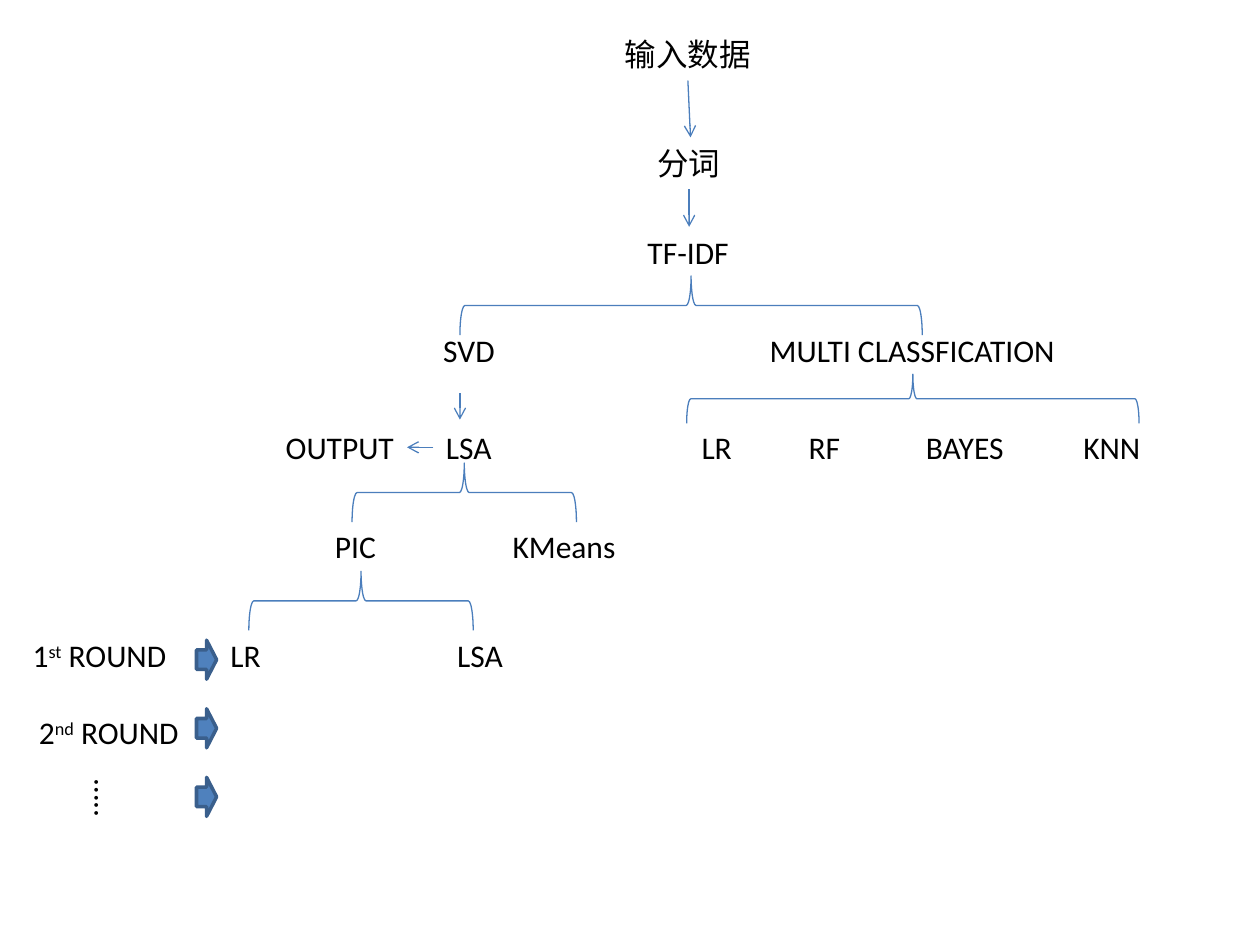
from typing import NamedTuple

import pptx
import pptx.dml.color
import pptx.enum.shapes
import pptx.enum.text
import pptx.oxml.ns
import pptx.oxml.xmlchemy
import pptx.util
from lxml import etree

Pt = pptx.util.Pt
MSO_SHAPE = pptx.enum.shapes.MSO_SHAPE
qn = pptx.oxml.ns.qn

COLORS = {"text": "000000", "line": "4B7EBC", "fill": "4F81BD", "edge": "3A5F8C"}
FONT = "Calibri"
LABEL_HEIGHT = 28.8
SUPERSCRIPT = "30000"

# Tops of the tree levels
INPUT, WORDS, TFIDF, METHODS, MODELS, CLUSTERS, ROUND_1, ROUND_2, MORE = (
    16.6, 78.5, 129.6, 185.8, 241.2, 297.4, 360, 403.9, 438.5)


class Label(NamedTuple):
    text: str
    left: float
    top: float
    width: float
    sup: str = ""
    rest: str = ""
    vertical: bool = False


class Brace(NamedTuple):
    center_x: float
    center_y: float
    span: float
    depth: float


class Arrow(NamedTuple):
    x1: float
    y1: float
    x2: float
    y2: float


LABELS = [
    Label("输入数据", 349.9, INPUT, 87.1),
    Label("分词", 368.6, WORDS, 51.1),
    Label("TF-IDF", 362.9, TFIDF, 61.2),
    Label("SVD", 246.2, METHODS, 44.6),
    Label("MULTI CLASSFICATION", 432.7, METHODS, 178.6),
    Label("OUTPUT", 156.2, MODELS, 77),
    Label("LSA", 247.7, MODELS, 41),
    Label("LR", 393.8, MODELS, 32.4),
    Label("RF", 455, MODELS, 32.4),
    Label("BAYES", 522, MODELS, 61.2),
    Label("KNN", 612, MODELS, 47.5),
    Label("PIC", 184.3, CLUSTERS, 38.2),
    Label("KMeans", 285.8, CLUSTERS, 78.5),
    Label("LR", 124.6, ROUND_1, 32.4),
    Label("LSA", 254.2, ROUND_1, 41),
    Label("1", 11.5, ROUND_1, 97.2, "st", " ROUND"),
    Label("2", 15.1, ROUND_2, 96.5, "nd", " ROUND"),
    Label("…..", 39.6, MORE, 36, vertical=True),
]

BRACES = [
    Brace(394.9, 174.6, 264.2, 33.8),
    Brace(521.6, 227.9, 258.5, 28.1),
    Brace(265.3, 281.5, 128.2, 33.8),
    Brace(206.3, 343.4, 128.2, 33.8),
]

ARROWS = [
    Arrow(393.1, 46.1, 394.6, 78.5),
    Arrow(393.8, 108, 393.8, 129.6),
    Arrow(262.8, 224.6, 262.8, 239.8),
    Arrow(247.7, 255.6, 232.6, 255.6),
]

ROUND_ARROW_TOP, ROUND_ARROW_STEP, ROUND_COUNT = 365.8, 39.2, 3


def rgb(name: str) -> pptx.dml.color.RGBColor:
    return pptx.dml.color.RGBColor.from_string(COLORS[name])


def style_line(line, color: str, width: float) -> None:
    line.color.rgb = rgb(color)
    line.width = Pt(width)


def add_run(p, text: str, baseline: str = "") -> None:
    r = p.add_run()
    r.text = text
    r.font.name = FONT
    r.font.size = Pt(18)
    r.font.color.rgb = rgb("text")
    if baseline:
        r.font._element.set("baseline", baseline)


def add_label(s, label: Label) -> None:
    sp = s.shapes.add_textbox(
        Pt(label.left), Pt(label.top), Pt(label.width), Pt(LABEL_HEIGHT))
    tf = sp.text_frame
    tf.word_wrap = False
    tf.auto_size = pptx.enum.text.MSO_AUTO_SIZE.SHAPE_TO_FIT_TEXT
    if label.vertical:
        tf._txBody.bodyPr.set("vert", "eaVert")
    p = tf.paragraphs[0]
    add_run(p, label.text)
    if label.sup:
        add_run(p, label.sup, SUPERSCRIPT)
        add_run(p, label.rest)


def add_brace(s, brace: Brace) -> None:
    """Draw a left brace turned so that its point faces up."""
    sp = s.shapes.add_shape(
        MSO_SHAPE.LEFT_BRACE,
        Pt(brace.center_x - brace.depth / 2), Pt(brace.center_y - brace.span / 2),
        Pt(brace.depth), Pt(brace.span))
    sp.rotation = 90
    sp.shadow.inherit = False
    sp.fill.background()
    style_line(sp.line, "line", 0.75)


def add_arrow(s, arrow: Arrow) -> None:
    cxn = s.shapes.add_connector(
        pptx.enum.shapes.MSO_CONNECTOR.STRAIGHT, *(Pt(v) for v in arrow))
    style_line(cxn.line, "line", 0.75)
    sp_pr = cxn._element.spPr
    etree.SubElement(sp_pr.find(qn("a:ln")), qn("a:tailEnd"), type="arrow")
    etree.SubElement(sp_pr, qn("a:effectLst"))


def add_round_arrow(s, top: float) -> None:
    sp = s.shapes.add_shape(
        MSO_SHAPE.RIGHT_ARROW, Pt(112.3), Pt(top), Pt(11.5), Pt(22.3))
    sp.shadow.inherit = False
    sp.fill.solid()
    sp.fill.fore_color.rgb = rgb("fill")
    style_line(sp.line, "edge", 2)


def main() -> None:
    prs = pptx.Presentation()
    prs.slide_width, prs.slide_height = Pt(720), Pt(540)
    s = prs.slides.add_slide(prs.slide_layouts[6])
    for label in LABELS:
        add_label(s, label)
    for brace in BRACES:
        add_brace(s, brace)
    for arrow in ARROWS:
        add_arrow(s, arrow)
    for i in range(ROUND_COUNT):
        add_round_arrow(s, ROUND_ARROW_TOP + i * ROUND_ARROW_STEP)
    prs.save("out.pptx")


if __name__ == "__main__":
    main()
